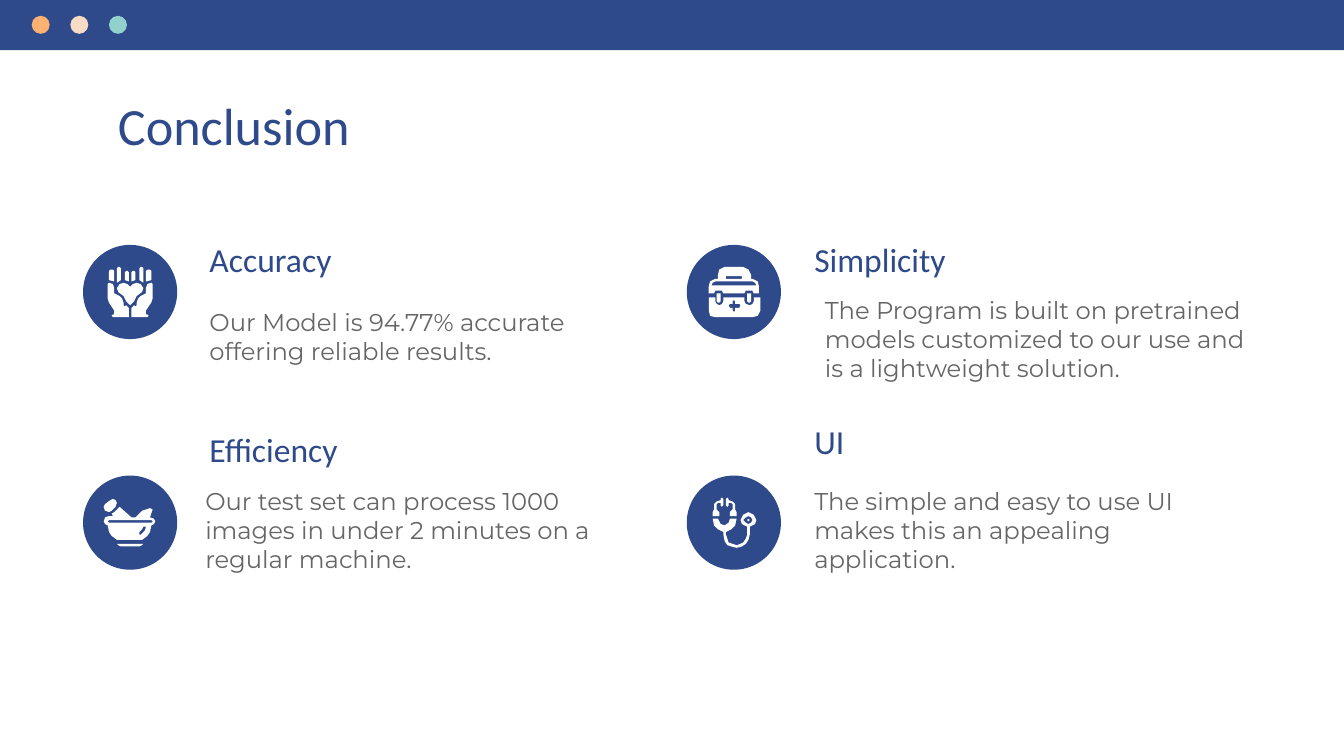
"""Build a conclusion slide with four findings, each beside a round icon."""
from dataclasses import dataclass

from pptx import Presentation
from pptx.dml.color import RGBColor
from pptx.enum.shapes import MSO_SHAPE
from pptx.enum.text import MSO_ANCHOR, MSO_AUTO_SIZE, PP_ALIGN
from pptx.util import Cm, Pt

ELLIPSE, RECTANGLE = MSO_SHAPE.OVAL, MSO_SHAPE.RECTANGLE
TOP, LEFT, NO_FIT = MSO_ANCHOR.TOP, PP_ALIGN.LEFT, MSO_AUTO_SIZE.NONE

NAVY = RGBColor(0x2F, 0x4A, 0x8A)
ORANGE = RGBColor(0xFF, 0xB1, 0x72)
CREAM = RGBColor(0xF8, 0xDB, 0xC4)
TEAL = RGBColor(0x90, 0xD1, 0xCB)
GREY = RGBColor(0x66, 0x66, 0x66)
WHITE = RGBColor(0xFF, 0xFF, 0xFF)

HEADING_FONT, BODY_FONT = "Calibri", "Montserrat"
ICON_UNIT = Cm(1) / 40
DISC_SIZE = 1.78
INSET = Cm(0.25)


@dataclass(frozen=True)
class Box:
    left: float
    top: float
    width: float
    height: float


@dataclass(frozen=True)
class Icon:
    outlines: tuple[str, ...]
    mirrored: tuple[str, ...] = ()
    axis: float = 0


@dataclass(frozen=True)
class Finding:
    heading: str
    heading_box: Box
    body: str
    body_box: Box
    icon: Icon
    center_x: float
    center_y: float


HANDS = Icon(
    outlines=("-5,-7 -8,-6 -10,-3 -9,0 -5,3 -3,7 0,10 3,7 5,3 9,0 10,-3 8,-6 5,-7 2,-6 0,-4 -2,-6",),
    mirrored=(
        "13,-17 12,-16 12,-8 16,-9 16,-16 15,-17",
        "8,-19 7,-18 7,-9 10,-7 10,-18 9,-19",
        "2,-16 1,-15 1,-8 4,-9 4,-15 3,-16",
        "16,-7 13,-6 12,-3 12,1 8,3 6,5 5,8 5,10 4,11 3,10 1,12 1,19 13,19 14,18 13,17 12,17 "
        "12,14 14,11 16,8 17,5 17,-6",
    ),
)
MEDICAL_CASE = Icon(
    outlines=(
        "6,-12 6,-10 -6,-10 -6,-12 / 14,-8 16,-7 17,-5 -17,-5 -16,-7 -14,-8 / "
        "-7,-19 -11,-17 -12,-13 -12,-10 -14,-10 -18,-8 -19,-4 -19,1 -15,1 -14,-1 -9,-1 -8,1 "
        "8,1 9,-1 14,-1 15,1 19,1 19,-4 18,-8 14,-10 13,-10 13,-13 11,-17 7,-19",
        "0,6 1,7 1,9 4,9 5,10 4,12 1,12 1,14 0,15 -1,14 -1,12 -3,12 -4,10 -3,9 -1,9 -1,7 / "
        "-19,4 -19,14 -18,18 -14,19 14,19 18,18 20,14 20,4 15,4 15,7 14,9 12,10 9,9 8,7 8,4 "
        "-8,4 -8,7 -9,9 -11,10 -13,9 -14,7 -14,4",
    ),
    mirrored=("10,1 10,7 11,8 12,8 13,7 13,1",),
)
STETHOSCOPE = Icon(
    outlines=(
        "11,-3 10,-2 11,-1 12,-2",
        "11,-5 13,-4 14,-2 13,0 11,1 9,0 7,-2 9,-4 / "
        "11,-8 7,-6 5,-2 6,1 10,3 10,9 9,12 7,15 5,16 2,17 -1,16 -4,15 -5,12 -6,9 -6,7 -2,5 "
        "1,2 2,-3 -3,-3 -4,0 -7,2 -10,1 -12,-3 -16,-3 -15,2 -12,5 -8,7 -8,9 -7,14 -5,17 "
        "-2,18 2,19 6,18 9,16 11,13 12,9 12,3 16,1 17,-2 15,-6",
    ),
    mirrored=(
        "-5,-19 -6,-18 -6,-13 -5,-12 -4,-13 -4,-15 -2,-15 -1,-14 -1,-10 -3,-8 -3,-5 2,-5 "
        "2,-8 1,-10 1,-14 -1,-16 -4,-17 -4,-18",
    ),
    axis=-7,
)
MORTAR = Icon(
    outlines=(
        "16,-2 17,-1 16,0 -16,0 -17,-1 -16,-2 / 12,3 11,6 8,9 7,9 7,7 9,5 10,3 / "
        "-8,-12 -9,-11 -12,-8 -14,-7 -13,-5 -16,-5 -19,-4 -20,-1 -19,1 -17,2 -16,7 -14,10 "
        "-10,13 9,13 13,10 15,7 16,2 18,1 19,-1 18,-3 15,-4 17,-10 15,-11 9,-9 4,-4 1,-4",
        "-13,-18 -15,-17 -19,-14 -20,-12 -19,-9 -16,-8 -14,-9 -11,-12 -10,-15 -11,-17",
        "-10,16 -9,17 -7,18 7,18 9,17 10,16",
    ),
)

FINDINGS = (
    Finding("Accuracy", Box(3.71, 4.27, 6.88, 1.3),
            "Our Model is 94.77% accurate offering reliable results.",
            Box(3.71, 5.56, 8.94, 2.18), HANDS, 2.46, 5.52),
    Finding("Simplicity", Box(15.14, 4.27, 8.48, 1.3),
            "The Program is built on pretrained models customized to our use and is a "
            "lightweight solution.", Box(15.34, 5.33, 8.48, 2.01), MEDICAL_CASE, 13.87, 5.52),
    Finding("Efficiency", Box(3.71, 7.85, 6.32, 1.3),
            "Our test set can process 1000 images in under 2 minutes on a regular machine.",
            Box(3.63, 8.94, 8.13, 2.18), MORTAR, 2.46, 9.88),
    Finding("UI", Box(15.14, 7.7, 6.32, 1.3),
            "The simple and easy to use UI makes this an appealing application.",
            Box(15.14, 8.94, 8.13, 2.62), STETHOSCOPE, 13.87, 9.88),
)


def lengths(box: Box) -> tuple[Cm, ...]:
    return Cm(box.left), Cm(box.top), Cm(box.width), Cm(box.height)


def paint(shape, color: RGBColor) -> None:
    shape.shadow.inherit = False
    shape.fill.solid()
    shape.fill.fore_color.rgb = color
    shape.line.fill.background()


def add_preset(shapes, kind: MSO_SHAPE, box: Box, color: RGBColor) -> None:
    paint(shapes.add_shape(kind, *lengths(box)), color)


def write(shape, text: str, *, size: float, font: str, color: RGBColor, after: float = 0) -> None:
    frame = shape.text_frame
    frame.text = text
    frame.word_wrap, frame.auto_size, frame.vertical_anchor = True, NO_FIT, TOP
    frame.margin_left = frame.margin_top = frame.margin_right = frame.margin_bottom = INSET
    paragraph = frame.paragraphs[0]
    paragraph.alignment, paragraph.space_before, paragraph.space_after = LEFT, Pt(0), Pt(after)
    paragraph.font.size, paragraph.font.name = Pt(size), font
    paragraph.font.color.rgb = color


def add_outline(shapes, outline: str, x: Cm, y: Cm, sign: int = 1, axis: float = 0) -> None:
    contours = []
    for contour in outline.split("/"):
        pairs = (map(float, point.split(",")) for point in contour.split())
        contours.append([((sign * px + axis * (1 - sign)) * ICON_UNIT, py * ICON_UNIT)
                         for px, py in pairs])
    first, *others = contours
    builder = shapes.build_freeform(*first[0])
    builder.add_line_segments(first[1:], close=True)
    for start, *rest in others:
        builder.move_to(*start)
        builder.add_line_segments(rest, close=True)
    paint(builder.convert_to_shape(x, y), WHITE)


def add_finding(shapes, finding: Finding) -> None:
    x, y, radius = finding.center_x, finding.center_y, DISC_SIZE / 2
    add_preset(shapes, ELLIPSE, Box(x - radius, y - radius, DISC_SIZE, DISC_SIZE), NAVY)
    parts = shapes.add_group_shape().shapes
    for outline in finding.icon.outlines:
        add_outline(parts, outline, Cm(x), Cm(y))
    for outline in finding.icon.mirrored:
        for sign in (1, -1):
            add_outline(parts, outline, Cm(x), Cm(y), sign, finding.icon.axis)
    write(shapes.add_textbox(*lengths(finding.heading_box)), finding.heading,
          size=18, font=HEADING_FONT, color=NAVY)
    write(shapes.add_textbox(*lengths(finding.body_box)), finding.body,
          size=13, font=BODY_FONT, color=GREY, after=12)


def main() -> None:
    deck = Presentation()
    deck.slide_width, deck.slide_height = Cm(25.4), Cm(14.29)
    slide = deck.slides.add_slide(deck.slide_layouts[5])
    title = slide.shapes.title
    title.left, title.top, title.width, title.height = lengths(Box(1.98, 1.52, 21.44, 1.3))
    write(title, "Conclusion", size=28, font=HEADING_FONT, color=NAVY)
    header = slide.shapes.add_group_shape().shapes
    add_preset(header, RECTANGLE, Box(0, 0, 25.4, 0.95), NAVY)
    for i, color in enumerate((ORANGE, CREAM, TEAL)):
        add_preset(header, ELLIPSE, Box(0.6 + 0.73 * i, 0.3, 0.34, 0.34), color)
    for finding in FINDINGS:
        add_finding(slide.shapes, finding)
    deck.save("out.pptx")


if __name__ == "__main__":
    main()
